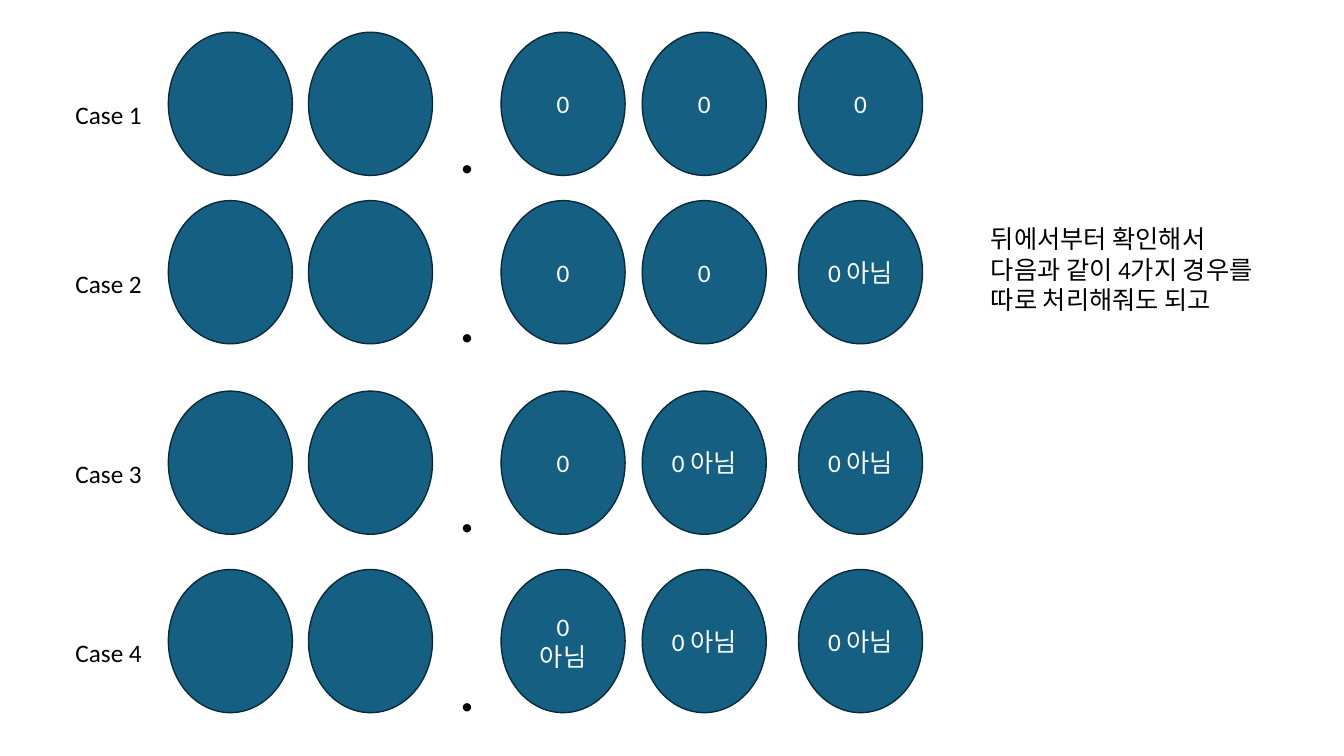
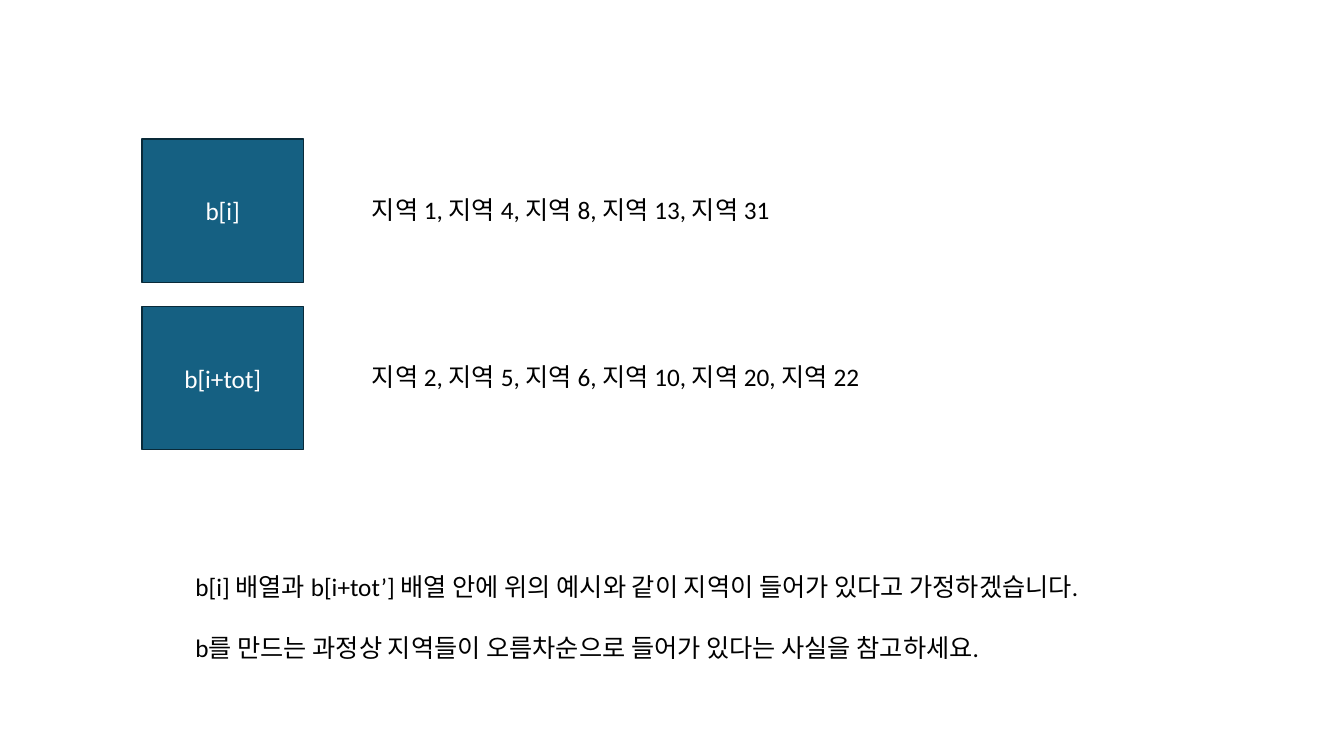
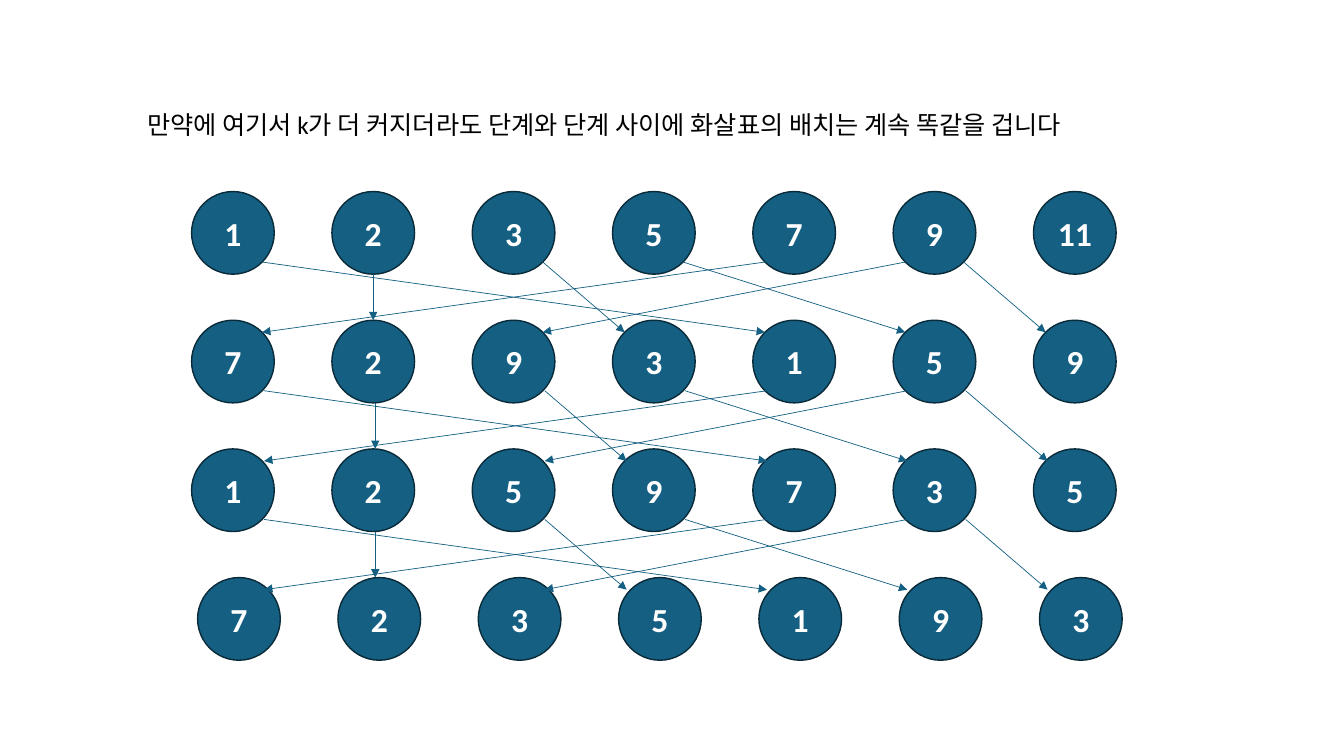
"""Build three slides on decimal cases, region arrays and step arrows."""
from math import sqrt

from lxml import etree
from pptx import Presentation
from pptx.dml.color import RGBColor
from pptx.enum.shapes import MSO_CONNECTOR, MSO_SHAPE
from pptx.enum.text import MSO_ANCHOR, MSO_AUTO_SIZE, PP_ALIGN
from pptx.oxml.ns import qn
from pptx.util import Inches, Pt

OVAL, RECT = MSO_SHAPE.OVAL, MSO_SHAPE.RECTANGLE
LEFT, CENTER = PP_ALIGN.LEFT, PP_ALIGN.CENTER
MIDDLE, GROW = MSO_ANCHOR.MIDDLE, MSO_AUTO_SIZE.SHAPE_TO_FIT_TEXT
STRAIGHT = MSO_CONNECTOR.STRAIGHT
FONT, BLUE, EDGE, WHITE, BLACK = "Calibri", "156082", "092A39", "FFFFFF", "000000"

NOT = "0 아님"
CASES = [
    (0.32, ["", "", "0", "0", "0"]),
    (1.99, ["", "", "0", "0", NOT]),
    (3.88, ["", "", "0", NOT, NOT]),
    (5.65, ["", "", "0\n아님", NOT, NOT]),
]
DIGITS = [1.67, 3.06, 4.97, 6.37, 7.92]
ADVICE = "뒤에서부터 확인해서\n다음과 같이 4가지 경우를\n따로 처리해줘도 되고"

ARRAYS = [
    (1.38, "b[i]", "지역 1, 지역 4, 지역 8, 지역 13, 지역 31"),
    (3.04, "b[i+tot]", "지역 2, 지역 5, 지역 6, 지역 10, 지역 20, 지역 22"),
]
NOTES = (
    "b[i] 배열과 b[i+tot’] 배열 안에 위의 예시와 같이 지역이 들어가 있다고 가정하겠습니다.\n"
    "b를 만드는 과정상 지역들이 오름차순으로 들어가 있다는 사실을 참고하세요."
)

CLAIM = "만약에 여기서 k가 더 커지더라도 단계와 단계 사이에 화살표의 배치는 계속 똑같을 겁니다"
STEPS = [
    [1, 2, 3, 5, 7, 9, 11],
    [7, 2, 9, 3, 1, 5, 9],
    [1, 2, 5, 9, 7, 3, 5],
    [7, 2, 3, 5, 1, 9, 3],
]
MOVES = [(4, 0), (1, 1), (5, 2), (2, 3), (0, 4), (3, 5), (5, 6)]
SHIFTS = [0, 0, 0, 0.06]
NUDGES = [0, 0.02, 0.02]
START, SIZE = 1.9, 0.82
PITCH, DROP = (10.25 - START) / 6, (5.73 - START) / 3


def color(code):
    """Return the colour for a hex string."""
    return RGBColor.from_string(code)


def write(shape, text, size=18, bold=False, ink=BLACK, align=LEFT, gap=0):
    """Fill a shape with one formatted paragraph per line of text."""
    frame = shape.text_frame
    for i, line in enumerate(text.split("\n")):
        para = frame.paragraphs[0] if i == 0 else frame.add_paragraph()
        para.alignment = align
        if i and gap:
            para.space_before = Pt(gap)
        run = para.add_run()
        run.text = line
        run.font.name, run.font.size, run.font.bold = FONT, Pt(size), bold
        run.font.color.rgb = color(ink)


def label(slide, box, text, wrap=False, **style):
    """Add a text box that grows with its text."""
    shape = slide.shapes.add_textbox(*map(Inches, box))
    shape.text_frame.word_wrap = wrap
    shape.text_frame.auto_size = GROW
    write(shape, text, **style)


def block(slide, kind, box, text, **style):
    """Add a blue outlined shape with centred white text."""
    shape = slide.shapes.add_shape(kind, *map(Inches, box))
    shape.shadow.inherit = False
    shape.fill.solid()
    shape.fill.fore_color.rgb = color(BLUE)
    shape.line.color.rgb = color(EDGE)
    shape.line.width = Pt(1)
    shape.text_frame.word_wrap = True
    shape.text_frame.vertical_anchor = MIDDLE
    if text:
        write(shape, text, ink=WHITE, align=CENTER, **style)


def arrow(slide, *ends):
    """Add a thin blue arrow."""
    line = slide.shapes.add_connector(STRAIGHT, *map(Inches, ends))
    line.line.color.rgb = color(BLUE)
    line.line.width = Pt(0.5)
    tip = etree.SubElement(line.line._get_or_add_ln(), qn("a:tailEnd"))
    tip.set("type", "triangle")
    etree.SubElement(line._element.spPr, qn("a:effectLst"))


def cases(slide):
    """Draw the four digit cases."""
    for i, (top, marks) in enumerate(CASES, 1):
        for left, mark in zip(DIGITS, marks):
            block(slide, OVAL, (left, top, 1.23, 1.42), mark)
        label(slide, (4.46, top + 0.8, 0.35, 0.77), ".", size=40, bold=True)
        label(slide, (0.65, top + 0.62, 0.87, 0.4), f"Case {i}")
    label(slide, (9.73, 2.17, 3.03, 1.01), ADVICE)


def arrays(slide):
    """Draw the two arrays with their regions."""
    for top, name, items in ARRAYS:
        block(slide, RECT, (1.41, top, 1.6, 1.42), name)
        label(slide, (3.59, top + 0.5, 6.82, 0.4), items, wrap=True)
    label(slide, (1.84, 5.62, 9.66, 1.01), NOTES, gap=21.6)


def steps(slide):
    """Draw the rows of numbers and the arrows between them."""
    label(slide, (1.36, 1.04, 10.61, 0.4), CLAIM, wrap=True)
    for row, (nums, shift) in enumerate(zip(STEPS, SHIFTS)):
        for col, num in enumerate(nums):
            box = (START + shift + col * PITCH, START + row * DROP, SIZE, SIZE)
            block(slide, OVAL, box, str(num), size=24, bold=True)
    reach = SIZE / 2 / sqrt(2)
    for row, nudge in enumerate(NUDGES):
        mid = START + SIZE / 2 + row * DROP
        for src, dst in MOVES:
            side = (dst > src) - (dst < src)
            dx, dy = side * reach, reach if side else SIZE / 2
            base = START + SIZE / 2 + nudge
            arrow(slide, base + src * PITCH + dx, mid + dy,
                  base + dst * PITCH - dx, mid + DROP - dy)


def main():
    """Build and save the deck."""
    deck = Presentation()
    deck.slide_width, deck.slide_height = Inches(13.33), Inches(7.5)
    for draw in (cases, arrays, steps):
        draw(deck.slides.add_slide(deck.slide_layouts[6]))
    deck.save("out.pptx")


if __name__ == "__main__":
    main()
